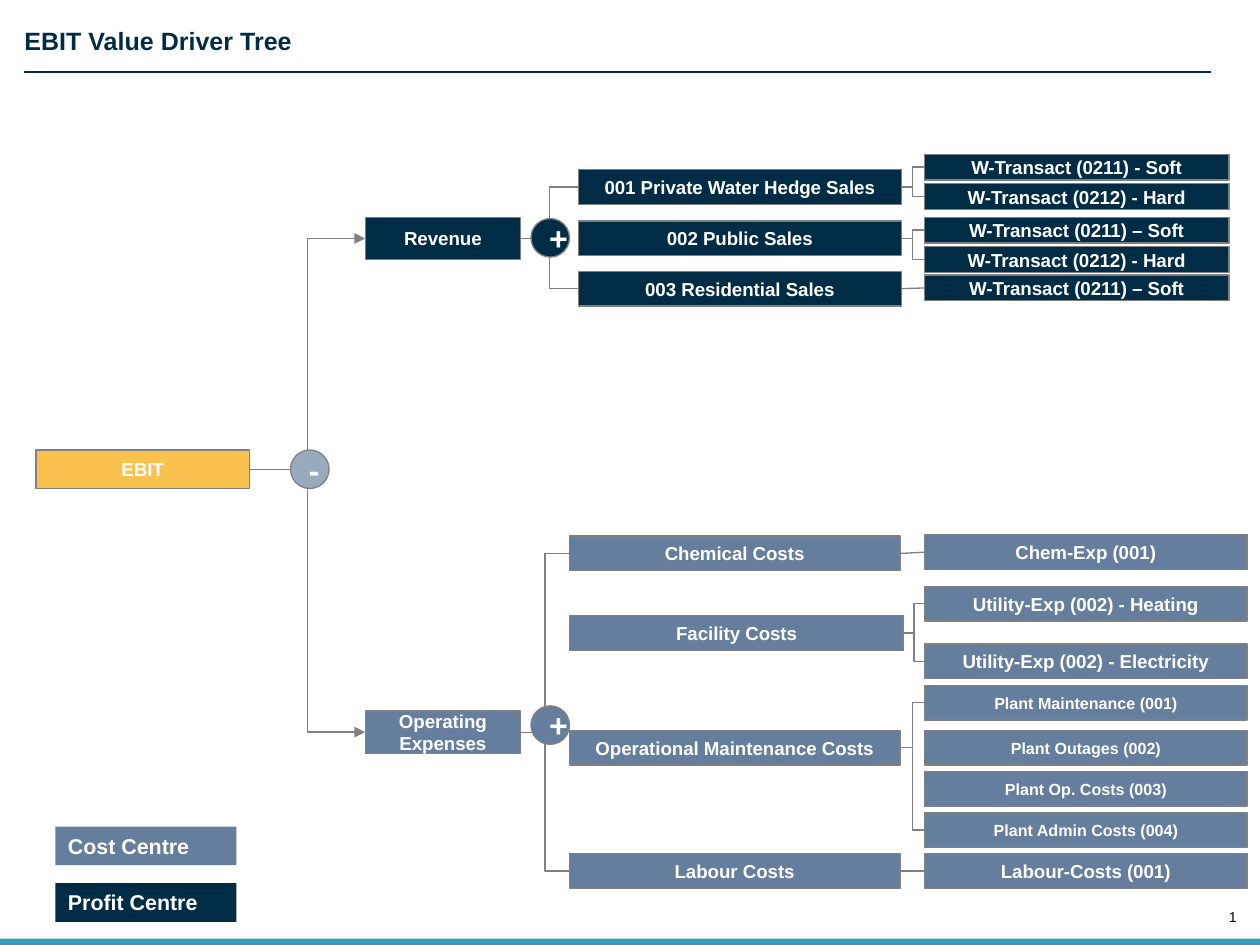
from dataclasses import dataclass
from functools import partial
from typing import Any

from lxml.etree import SubElement
from pptx import Presentation
from pptx.dml.color import RGBColor
from pptx.enum.shapes import MSO_CONNECTOR as Connector, MSO_SHAPE as Shape
from pptx.enum.text import MSO_ANCHOR as Anchor, MSO_AUTO_SIZE as AutoSize, PP_ALIGN as Align
from pptx.oxml.ns import qn
from pptx.util import Inches, Pt

NAVY = RGBColor(0x00, 0x2C, 0x46)
SLATE = RGBColor(0x65, 0x7E, 0x9D)
PALE_SLATE = RGBColor(0x99, 0xAA, 0xBE)
AMBER = RGBColor(0xFB, 0xC1, 0x4E)
TEAL = RGBColor(0x37, 0x9B, 0xBD)
GREY = RGBColor(0x80, 0x80, 0x80)
WHITE = RGBColor(0xFF, 0xFF, 0xFF)
BLACK = RGBColor(0x00, 0x00, 0x00)

CENTRED = {"vertical_anchor": Anchor.MIDDLE, "word_wrap": True}
TOP = {"vertical_anchor": Anchor.TOP, "word_wrap": True}
NO_INSETS = dict.fromkeys(("margin_left", "margin_top", "margin_right", "margin_bottom"), 0)


@dataclass(frozen=True)
class Node:
    """A box of the tree; links run to its first and last child."""
    label: str
    left: float
    top: float
    width: float
    height: float
    fill: RGBColor
    size: float = 10.5
    children: tuple["Node", ...] = ()
    arrows: bool = False


@dataclass(frozen=True)
class Operator:
    sign: str
    left: float
    top: float
    fill: RGBColor


def set_all(target: Any, formats: dict[str, Any]) -> None:
    for name, value in formats.items():
        setattr(target, name, value)


def place(*lengths: float) -> list[int]:
    return [Inches(length) for length in lengths]


def format_text(frame: Any, frame_formats: dict[str, Any], align: Align,
                size: float, color: RGBColor, bold: bool = True) -> None:
    set_all(frame, frame_formats)
    paragraph = frame.paragraphs[0]
    paragraph.alignment = align
    for run in paragraph.runs:
        set_all(run.font, {"name": "Arial", "size": Pt(size), "bold": bold})
        run.font.color.rgb = color


def draw_shape(kind: Shape, box: list[int], fill: RGBColor, outlined: bool = True) -> Any:
    shape = slide.shapes.add_shape(kind, *box)
    shape.shadow.inherit = False
    shape.fill.solid()
    shape.fill.fore_color.rgb = fill
    if outlined:
        shape.line.color.rgb = GREY
        shape.line.width = Pt(0.75)
    else:
        shape.line.fill.background()
    return shape


def draw_line(kind: Connector, ends: list[int], color: RGBColor, arrow: bool = False) -> Any:
    line = slide.shapes.add_connector(kind, *ends)
    line.line.color.rgb = color
    line.line.width = Pt(0.75)
    if arrow:
        SubElement(line.line._get_or_add_ln(), qn("a:tailEnd"), type="triangle")
    SubElement(line._element.spPr, qn("a:effectLst"))
    return line


def draw_tree(node: Node) -> Any:
    box = draw_shape(Shape.RECTANGLE, place(node.left, node.top, node.width, node.height), node.fill)
    box.text_frame.text = node.label
    format_text(box.text_frame, CENTRED, Align.CENTER, node.size, WHITE)
    child_boxes = [draw_tree(child) for child in node.children]
    kind = Connector.STRAIGHT if len(child_boxes) == 1 else Connector.ELBOW
    for child_box in child_boxes[:1] + child_boxes[1:][-1:]:
        ends = [box.left + box.width, box.top + box.height // 2,
                child_box.left, child_box.top + child_box.height // 2]
        link = draw_line(kind, ends, GREY, node.arrows)
        link.begin_connect(box, 3)
        link.end_connect(child_box, 1)
    return box


def draw_operator(operator: Operator) -> None:
    circle = draw_shape(Shape.OVAL, place(operator.left, operator.top, 0.3, 0.3), operator.fill)
    circle.text_frame.text = operator.sign
    format_text(circle.text_frame, CENTRED, Align.CENTER, 18, WHITE)


# Columns of the tree
sales = partial(Node, left=4.5, width=2.51, height=0.27, fill=NAVY)
transaction = partial(Node, left=7.19, width=2.37, height=0.2, fill=NAVY)
costs = partial(Node, left=4.43, width=2.57, height=0.27, fill=SLATE)
expense = partial(Node, left=7.19, width=2.51, height=0.27, fill=SLATE)
branch = partial(Node, left=2.84, width=1.21, height=0.33)

revenue = branch("Revenue", top=1.69, fill=NAVY, children=(
    sales("001 Private Water Hedge Sales", top=1.32, children=(
        transaction("W-Transact (0211) - Soft", top=1.2),
        transaction("W-Transact (0212) - Hard", top=1.43))),
    sales("002 Public Sales", top=1.72, children=(
        transaction("W-Transact (0211) – Soft", top=1.69),
        transaction("W-Transact (0212) - Hard", top=1.92))),
    sales("003 Residential Sales", top=2.11, children=(
        transaction("W-Transact (0211) – Soft", top=2.14),)),
))
operating_expenses = branch("Operating Expenses", top=5.53, fill=SLATE, children=(
    costs("Chemical Costs", top=4.17, children=(expense("Chem-Exp (001)", top=4.16),)),
    costs("Facility Costs", top=4.79, width=2.6, children=(
        expense("Utility-Exp (002) - Heating", top=4.56),
        expense("Utility-Exp (002) - Electricity", top=5.01))),
    costs("Operational Maintenance Costs", top=5.68, children=(
        expense("Plant Maintenance (001)", top=5.33, size=9),
        expense("Plant Outages (002)", top=5.68, size=9),
        expense("Plant Op. Costs (003)", top=6, size=9),
        expense("Plant Admin Costs (004)", top=6.32, size=9))),
    costs("Labour Costs", top=6.64, children=(expense("Labour-Costs (001)", top=6.64),)),
))
ebit = Node("EBIT", 0.28, 3.5, 1.66, 0.3, AMBER,
            children=(revenue, operating_expenses), arrows=True)
OPERATORS = (
    Operator("-", 2.26, 3.5, PALE_SLATE),
    Operator("+", 4.13, 1.7, NAVY),
    Operator("+", 4.13, 5.49, SLATE),
)
LEGEND = (("Cost Centre", 6.43, SLATE), ("Profit Centre", 6.87, NAVY))

deck = Presentation()
set_all(deck, {"slide_width": Inches(9.8), "slide_height": Inches(7.35)})
slide = deck.slides.add_slide(deck.slide_layouts[5])

# Title and rule
title = slide.shapes.title
set_all(title, dict(zip(("left", "top", "width", "height"), place(0.19, 0.2, 9.56, 0.24))))
title.text_frame.text = "EBIT Value Driver Tree"
format_text(title.text_frame, TOP | NO_INSETS | {"auto_size": AutoSize.NONE}, Align.LEFT, 14, NAVY)
draw_line(Connector.STRAIGHT, place(0.19, 0.56, 9.42, 0.56), NAVY)

# Driver tree with its operators
draw_tree(ebit)
for operator in OPERATORS:
    draw_operator(operator)

# Legend
for label, top, fill in LEGEND:
    key = draw_shape(Shape.RECTANGLE, place(0.43, top, 1.41, 0.3), fill, outlined=False)
    key.text_frame.text = label
    format_text(key.text_frame, TOP, Align.LEFT, 12, WHITE)

# Footer band and page number
draw_shape(Shape.RECTANGLE, place(0, 7.3, 9.8, 0.05), TEAL, outlined=False)
page_number = slide.shapes.add_textbox(*place(9.48, 7.07, 0.14, 0.13))
page_number.text_frame.text = "1"
format_text(page_number.text_frame, NO_INSETS | {"vertical_anchor": Anchor.BOTTOM, "word_wrap": False},
            Align.RIGHT, 8, BLACK, bold=False)

deck.save("out.pptx")
